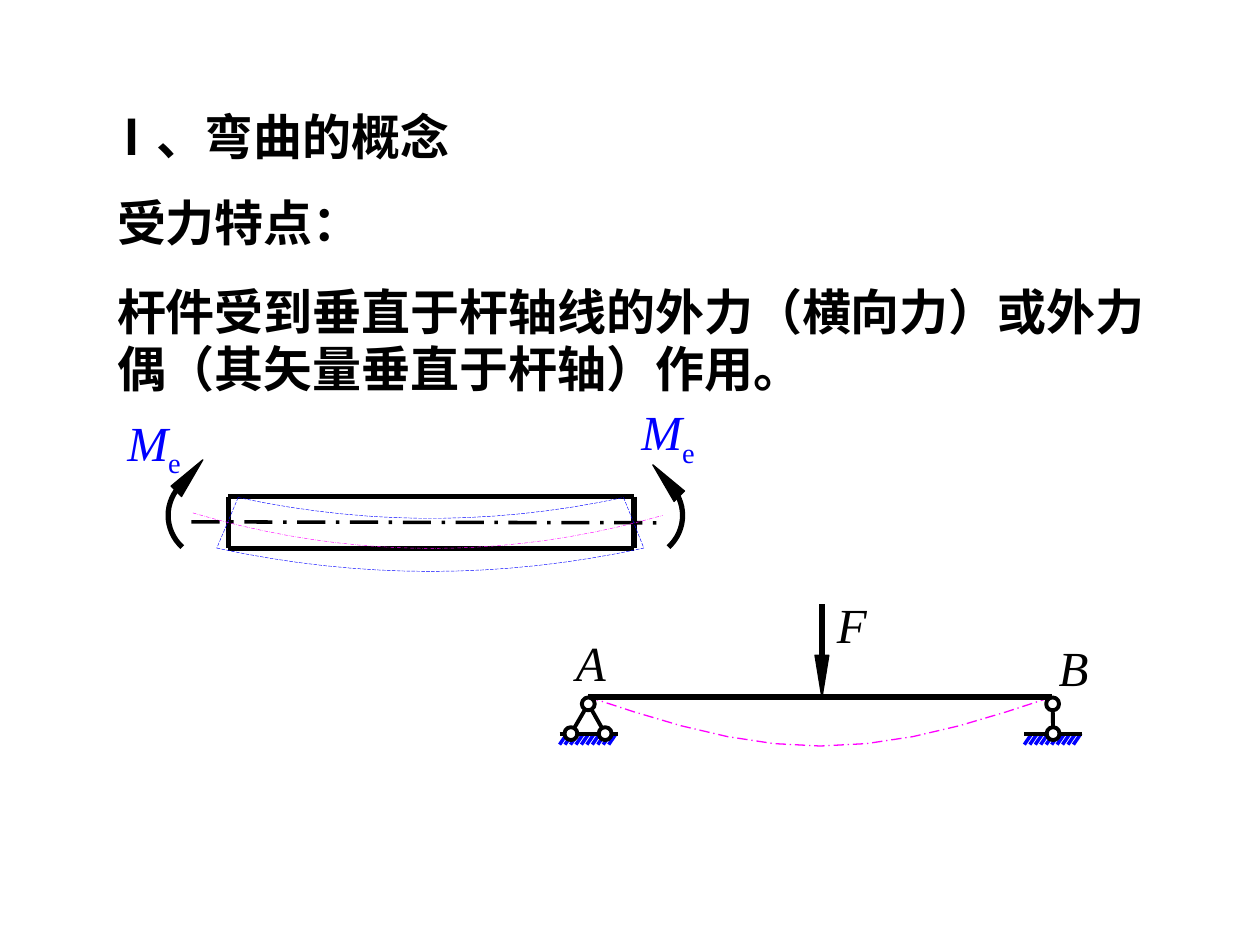
import math

from lxml import etree
from pptx import Presentation
from pptx import util as u
from pptx.dml import color
from pptx.enum import dml, shapes, text
from pptx.oxml import ns

BLACK, WHITE, BLUE, MAGENTA = "000000", "FFFFFF", "0000FF", "FF00FF"
DASH = dml.MSO_LINE.LONG_DASH
DASH_DOT = dml.MSO_LINE.LONG_DASH_DOT


def rgb(value):
    return color.RGBColor.from_string(value)


def parabola(t):
    return 4 * t * (1 - t)


def half_sine(t):
    return math.sin(math.pi * t)


def sagging(start, end, sag, steps, profile=parabola):
    """Points of a curve that hangs by sag below the chord."""
    (x1, y1), (x2, y2) = start, end
    shares = [i / steps for i in range(steps + 1)]
    return [(x1 + (x2 - x1) * t, y1 + (y2 - y1) * t + sag * profile(t)) for t in shares]


class Sketch:
    """Draws on one page; all lengths are centimetres."""

    heading_font = "Noto Sans CJK SC"
    symbol_font = "Times New Roman"
    size = 28

    def __init__(self, page):
        self.page = page

    def stroke(self, shape, hue, width, dash=None):
        shape.line.color.rgb = rgb(hue)
        shape.line.width = u.Pt(width)
        if dash is not None:
            shape.line.dash_style = dash

    def line(self, start, end, hue=BLACK, width=3, dash=None):
        ends = [u.Cm(v) for v in (*start, *end)]
        shape = self.page.shapes.add_connector(shapes.MSO_CONNECTOR.STRAIGHT, *ends)
        self.stroke(shape, hue, width, dash)
        etree.SubElement(shape._element.spPr, ns.qn("a:effectLst"))

    def outline(self, points, hue=BLACK, width=3, dash=None, solid=False):
        corners = [(u.Cm(x), u.Cm(y)) for x, y in points]
        builder = self.page.shapes.build_freeform(*corners[0])
        builder.add_line_segments(corners[1:], close=solid)
        shape = builder.convert_to_shape()
        shape.shadow.inherit = False
        if solid:
            shape.fill.solid()
            shape.fill.fore_color.rgb = rgb(hue)
        else:
            shape.fill.background()
        self.stroke(shape, hue, width, dash)

    def hinge(self, x, y, diameter=0.26):
        box = [u.Cm(v) for v in (x - diameter / 2, y - diameter / 2, diameter, diameter)]
        shape = self.page.shapes.add_shape(shapes.MSO_SHAPE.OVAL, *box)
        shape.shadow.inherit = False
        shape.fill.solid()
        shape.fill.fore_color.rgb = rgb(WHITE)
        self.stroke(shape, BLACK, 2.25)

    def frame(self, x, y, width, height, margins, wrap):
        box = self.page.shapes.add_textbox(*[u.Cm(v) for v in (x, y, width, height)])
        frame = box.text_frame
        frame.word_wrap = wrap
        frame.auto_size = text.MSO_AUTO_SIZE.NONE
        side, top = margins
        frame.margin_left = frame.margin_right = u.Cm(side)
        frame.margin_top = u.Cm(top)
        frame.margin_bottom = u.Cm(0)
        return frame

    def style(self, para, name, hue):
        font = para.font
        font.size = u.Pt(self.size)
        font.color.rgb = rgb(hue)
        font.name = name
        etree.SubElement(font._element, ns.qn("a:ea"), typeface=name)
        return font

    def heading(self, x, y, width, height, lines):
        frame = self.frame(x, y, width, height, (0.25, 0.25), True)
        for index, words in enumerate(lines):
            para = frame.add_paragraph() if index else frame.paragraphs[0]
            para.add_run().text = words
            para.line_spacing = u.Pt(33)
            para.space_before = u.Pt(17.5 if index else 0)
            self.style(para, self.heading_font, BLACK).bold = True

    def symbol(self, x, y, letter, subscript="", hue=BLACK):
        width = 1.07 if subscript else 0.61
        para = self.frame(x, y, width, 1.19, (0, 0), False).paragraphs[0]
        para.add_run().text = letter
        self.style(para, self.symbol_font, hue).italic = True
        if subscript:
            span = para.add_run()
            span.text = subscript
            span.font.italic = False
            span._r.get_or_add_rPr().set("baseline", "-25000")

    def moment(self, x, y, side, shift=0):
        """Curved couple arrow; side is -1 for the left end, 1 for the right."""
        radius = 0.86
        turns = [math.radians(a) for a in range(-36, 51, 6)]
        self.outline([(x + side * radius * math.cos(a), y + radius * math.sin(a))
                      for a in turns])
        head = [(0.59, -0.38), (0.8, -0.59), (0.16, -1.12)]
        self.outline([(x + side * dx + shift, y + dy + shift) for dx, dy in head],
                     width=0, solid=True)

    def ground(self, x, y):
        for i in range(10):
            foot = x + 0.11 * i
            self.line((foot + 0.15, y), (foot, y + 0.22), BLUE, 0)
        self.line((x, y), (x + 1.17, y), width=2.25)

    def support(self, ground_x, top, feet):
        foot_y = 14.79
        self.ground(ground_x, foot_y)
        for foot in feet:
            self.line(top, (foot, foot_y), width=2.25)
        for foot in feet:
            self.hinge(foot, foot_y)
        self.hinge(*top)


def main():
    deck = Presentation()
    deck.slide_width, deck.slide_height = u.Cm(25.4), u.Cm(19.05)
    sketch = Sketch(deck.slides.add_slide(deck.slide_layouts[6]))

    # Headings
    sketch.heading(1.91, 1.91, 12.07, 1.45, ["Ⅰ、弯曲的概念"])
    sketch.heading(2.11, 3.66, 22.02, 4.45, [
        "受力特点：",
        "杆件受到垂直于杆轴线的外力（横向力）或外力偶（其矢量垂直于杆轴）作用。",
    ])

    # Bar under end couples
    sketch.symbol(2.57, 8.31, "M", "e", BLUE)
    sketch.symbol(12.93, 8.1, "M", "e", BLUE)
    sketch.line((3.86, 10.52), (13.34, 10.54), width=0, dash=DASH_DOT)
    left, top, right, bottom = 4.6, 10.01, 12.78, 11.05
    for y in (top, bottom):
        sketch.line((left, y), (right, y))
    for x in (left, right):
        sketch.line((x, top), (x, bottom))
    sketch.moment(4.25, 10.39, -1)
    sketch.moment(12.9, 10.39, 1, shift=0.1)

    # Bent bar
    upper = [(4.8, 10.03), (12.57, 10.03)]
    lower = [(4.37, 11.05), (12.98, 11.05)]
    sketch.outline(sagging(*upper, 0.42, 15), BLUE, 0.25, DASH)
    sketch.outline(sagging(*lower, 0.47, 16), BLUE, 0.25, DASH)
    for start, end in zip(upper, lower):
        sketch.line(start, end, BLUE, 0.25, DASH)
    sketch.outline(sagging((3.89, 10.34), (13.36, 10.39), 0.69, 20), MAGENTA, 0.25, DASH_DOT)

    # Simply supported beam and its deflection
    ends = [(11.86, 14.05), (21.21, 14.05)]
    sketch.outline(sagging(*ends, 0.99, 10, half_sine), MAGENTA, 0, DASH_DOT)
    sketch.line(*ends)
    sketch.support(11.28, (11.86, 14.19), [11.51, 12.2])
    sketch.support(20.65, (21.22, 14.19), [21.23])
    sketch.symbol(11.61, 12.75, "A")
    sketch.symbol(21.34, 12.85, "B")

    # Force at midspan
    sketch.line((16.57, 13.46), (16.57, 12.17))
    sketch.outline([(16.71, 13.21), (16.57, 14.07), (16.43, 13.21)], width=0, solid=True)
    sketch.symbol(16.87, 11.99, "F")

    deck.save("out.pptx")


if __name__ == "__main__":
    main()
